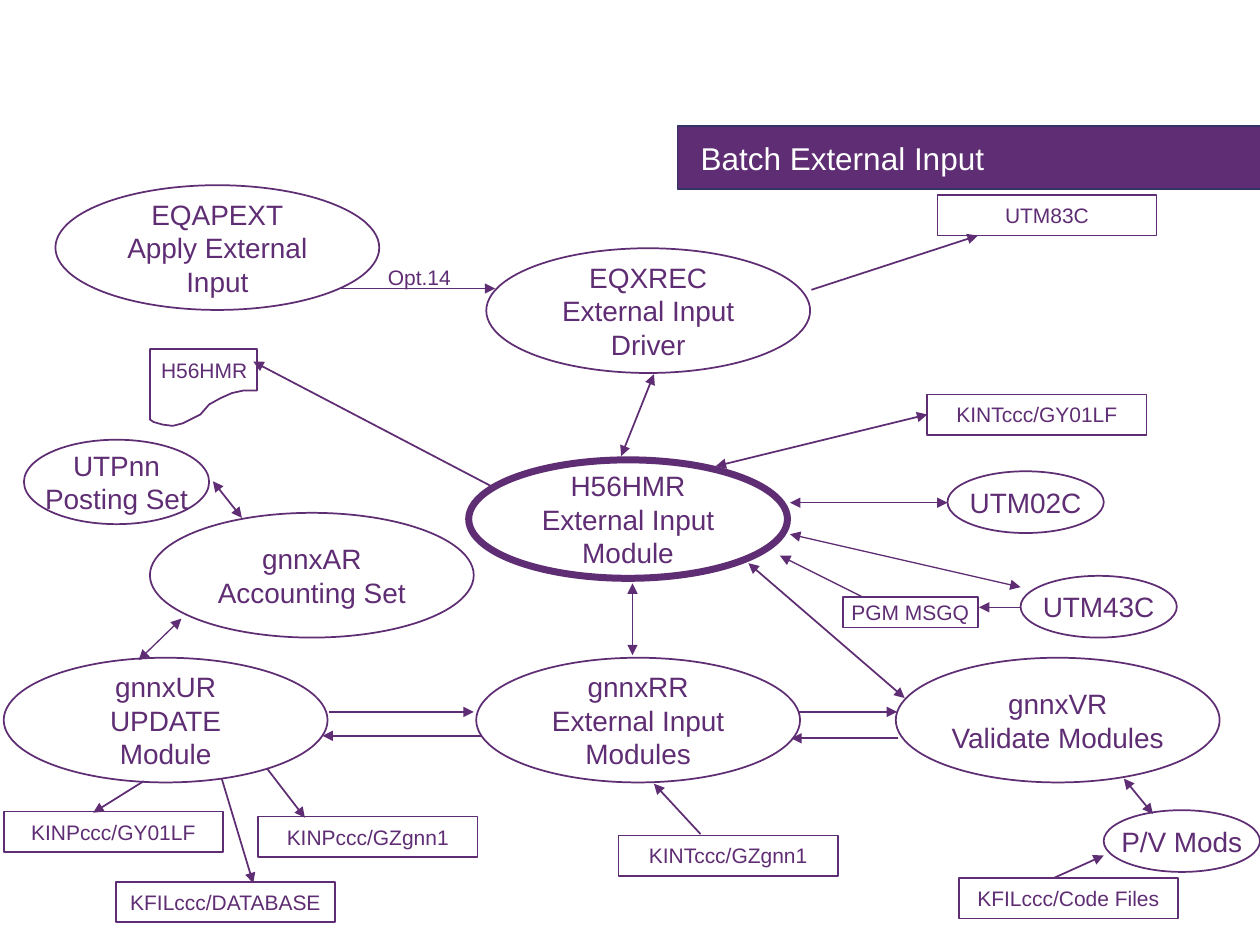
"""Build the Batch External Input flow slide."""
from dataclasses import dataclass
from lxml.etree import SubElement as Sub
from pptx import Presentation
from pptx.dml.color import RGBColor as Rgb
from pptx.enum.shapes import MSO_CONNECTOR as Conn, MSO_SHAPE as Kind
from pptx.enum.text import MSO_ANCHOR as Anchor, PP_ALIGN as Align
from pptx.oxml.ns import qn
from pptx.util import Cm, Pt


@dataclass(frozen=True)
class Theme:
    font: str = "Arial"
    ink: Rgb = Rgb(0x5F, 0x2D, 0x73)
    edge: Rgb = Rgb(0x33, 0x33, 0x66)
    paper: Rgb = Rgb(0xFF, 0xFF, 0xFF)
    head: int = 18
    big: int = 16
    small: int = 12
    thin: float = 0.75
    line: float = 1
    bold: float = 4


LOOK = Theme()
INCH = 2.54
TITLE = "Batch External Input"
BAND = (5.38, 1, 4.67, 0.5)
HEAD = (5.46, 1, 4.33, 0.5)

WIDE, SMALL = (2.57, 0.99), (1.24, 0.49)
OVALS = [
    ("H56HMR\nExternal Input\nModule", (3.72, 3.65), (2.53, 0.94), LOOK.bold),
    ("gnnxVR\nValidate Modules", (7.11, 5.22), WIDE, LOOK.line),
    ("gnnxRR\nExternal Input\nModules", (3.78, 5.22), WIDE, LOOK.line),
    ("gnnxUR\nUPDATE\nModule", (0.03, 5.22), WIDE, LOOK.line),
    ("EQXREC\nExternal Input\nDriver", (3.86, 1.97), WIDE, LOOK.line),
    ("EQAPEXT\nApply External\nInput", (0.44, 1.47), WIDE, LOOK.line),
    ("gnnxAR\nAccounting Set", (1.19, 4.07), WIDE, LOOK.line),
    ("UTPnn\nPosting Set", (0.19, 3.49), (1.47, 0.67), LOOK.line),
    ("P/V Mods", (8.76, 6.43), SMALL, LOOK.line),
    ("UTM02C", (7.52, 3.74), SMALL, LOOK.line),
    ("UTM43C", (8.1, 4.57), SMALL, LOOK.line),
]

FILE = (1.74, 0.32)
BOXES = [
    ("UTM83C", (7.44, 1.55), FILE),
    ("KINTccc/GY01LF", (7.36, 3.13), FILE),
    ("KFILccc/Code Files", (7.61, 6.97), FILE),
    ("KINPccc/GZgnn1", (2.05, 6.48), FILE),
    ("KFILccc/DATABASE", (0.92, 7), FILE),
    ("KINPccc/GY01LF", (0.03, 6.44), FILE),
    ("KINTccc/GZgnn1", (4.91, 6.63), FILE),
    ("PGM MSGQ", (6.69, 4.74), (1.07, 0.24)),
]

PAGE = [
    (1.19, 3.33), (1.19, 2.77), (2.04, 2.77), (2.04, 3.1), (1.93, 3.1),
    (1.84, 3.12), (1.75, 3.16), (1.66, 3.21), (1.59, 3.29), (1.53, 3.32),
    (1.45, 3.36), (1.37, 3.38), (1.29, 3.37), (1.22, 3.35),
]
NOTES = [
    ("Opt.14", (2.98, 2.05, 0.7, 0.3), False, 0),
    ("H56HMR", (1.18, 2.79, 1.01, 0.3), True, 7.5),
]

ONE_WAY = [
    ((2.69, 2.29), (3.93, 2.29)),
    ((6.44, 2.3), (7.76, 1.87)),
    ((3.94, 3.88), (2.01, 2.87)),
    ((8.36, 6.97), (8.76, 6.79)),
    ((5.56, 6.62), (5.19, 6.22)),
    ((1.14, 6.2), (0.74, 6.45)),
    ((1.76, 6.18), (2.01, 7.01)),
    ((2.12, 6.1), (2.42, 6.49)),
    ((6.34, 5.65), (7.12, 5.65)),
    ((7.13, 5.86), (6.28, 5.86)),
    ((2.61, 5.65), (3.76, 5.65)),
    ((3.82, 5.84), (2.56, 5.84)),
]
TWO_WAY = [
    ((5.19, 2.97), (4.93, 3.62)),
    ((5.02, 4.63), (5.02, 5.2)),
    ((5.94, 4.47), (7.18, 5.54)),
    ((8.92, 6.18), (9.15, 6.46)),
    ((1.69, 3.82), (1.92, 4.11)),
]
THIN_ONE = [((8.1, 4.82), (7.77, 4.82)), ((6.85, 4.74), (6.19, 4.41))]
THIN_TWO = [
    ((6.27, 4.24), (8.1, 4.66)),
    ((6.27, 3.99), (7.52, 3.99)),
    ((1.1, 5.24), (1.44, 4.91)),
]
LINKS = [
    (ONE_WAY, ("tailEnd",), LOOK.line),
    (TWO_WAY, ("headEnd", "tailEnd"), LOOK.line),
    (THIN_ONE, ("tailEnd",), LOOK.thin),
    (THIN_TWO, ("headEnd", "tailEnd"), LOOK.thin),
]
FEED = ("KINTccc/GY01LF", (5.68, 3.7))


def cm(*vals):
    return [Cm(val * INCH) for val in vals]


def write(shape, text, size, ink=LOOK.ink, align=Align.LEFT, wrap=False, gap=0):
    frame = shape.text_frame
    frame.text = text
    frame.word_wrap = wrap
    for par in frame.paragraphs:
        par.alignment = align
        par.space_before = Pt(gap)
        par.font.name = LOOK.font
        par.font.size = Pt(size)
        par.font.color.rgb = ink
    return frame


def draw(slide, kind, box, fill=LOOK.paper, edge=LOOK.ink, width=LOOK.line):
    shape = slide.shapes.add_shape(kind, *cm(*box))
    shape.shadow.inherit = False
    shape.fill.solid()
    shape.fill.fore_color.rgb = fill
    shape.line.color.rgb = edge
    shape.line.width = Pt(width)
    return shape


def node(slide, kind, text, spot, dims, size, width=LOOK.line):
    shape = draw(slide, kind, spot + dims, width=width)
    frame = write(shape, text, size, align=Align.CENTER)
    frame.vertical_anchor = Anchor.MIDDLE
    return shape


def link(slide, start, end, tips, width):
    line = slide.shapes.add_connector(Conn.STRAIGHT, *cm(*start, *end))
    line.line.color.rgb = LOOK.ink
    line.line.width = Pt(width)
    for tip in tips:
        Sub(line.line._get_or_add_ln(), qn("a:" + tip), type="triangle")
    Sub(line._element.spPr, qn("a:effectLst"))
    return line


def header(slide):
    title = slide.shapes.title
    title.left, title.top, title.width, title.height = cm(*HEAD)
    frame = write(title, TITLE, LOOK.head, LOOK.paper, wrap=True)
    frame.vertical_anchor = Anchor.MIDDLE
    band = draw(slide, Kind.RECTANGLE, BAND, LOOK.ink, LOOK.edge, LOOK.thin)
    title._element.addprevious(band._element)


def page(slide):
    start, *rest = [cm(*spot) for spot in PAGE]
    pen = slide.shapes.build_freeform(*start)
    pen.add_line_segments(rest, close=True)
    shape = pen.convert_to_shape()
    shape.shadow.inherit = False
    shape.fill.background()
    shape.line.color.rgb = LOOK.ink
    shape.line.width = Pt(LOOK.line)


def main():
    deck = Presentation()
    deck.slide_width, deck.slide_height = cm(10, 7.5)
    slide = deck.slides.add_slide(deck.slide_layouts[5])
    header(slide)
    for text, spot, dims, width in OVALS:
        node(slide, Kind.OVAL, text, spot, dims, LOOK.big, width)
    boxes = {
        text: node(slide, Kind.RECTANGLE, text, spot, dims, LOOK.small)
        for text, spot, dims in BOXES
    }
    page(slide)
    for text, box, wrap, gap in NOTES:
        note = slide.shapes.add_textbox(*cm(*box))
        write(note, text, LOOK.small, wrap=wrap, gap=gap)
    for pairs, tips, width in LINKS:
        for start, end in pairs:
            link(slide, start, end, tips, width)
    name, end = FEED
    feed = link(slide, end, end, ("headEnd", "tailEnd"), LOOK.line)
    feed.begin_connect(boxes[name], 1)
    deck.save("out.pptx")


if __name__ == "__main__":
    main()
